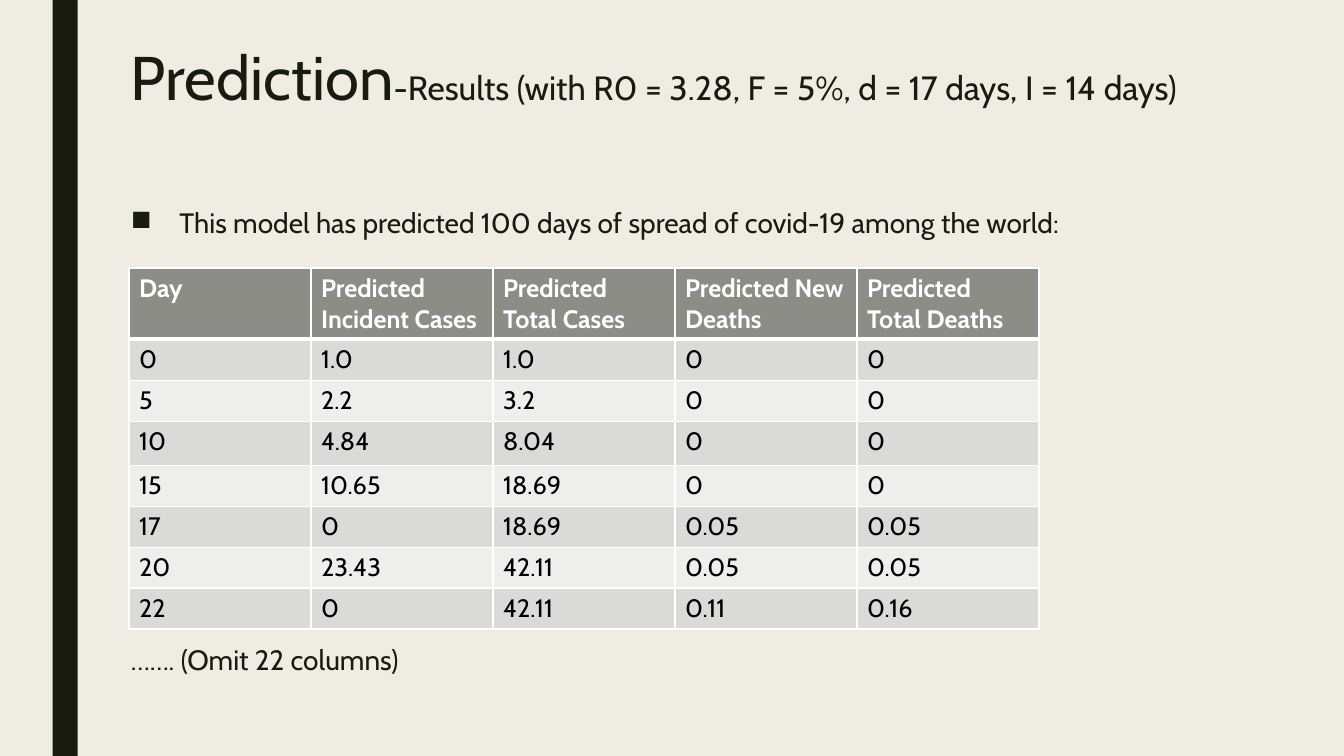
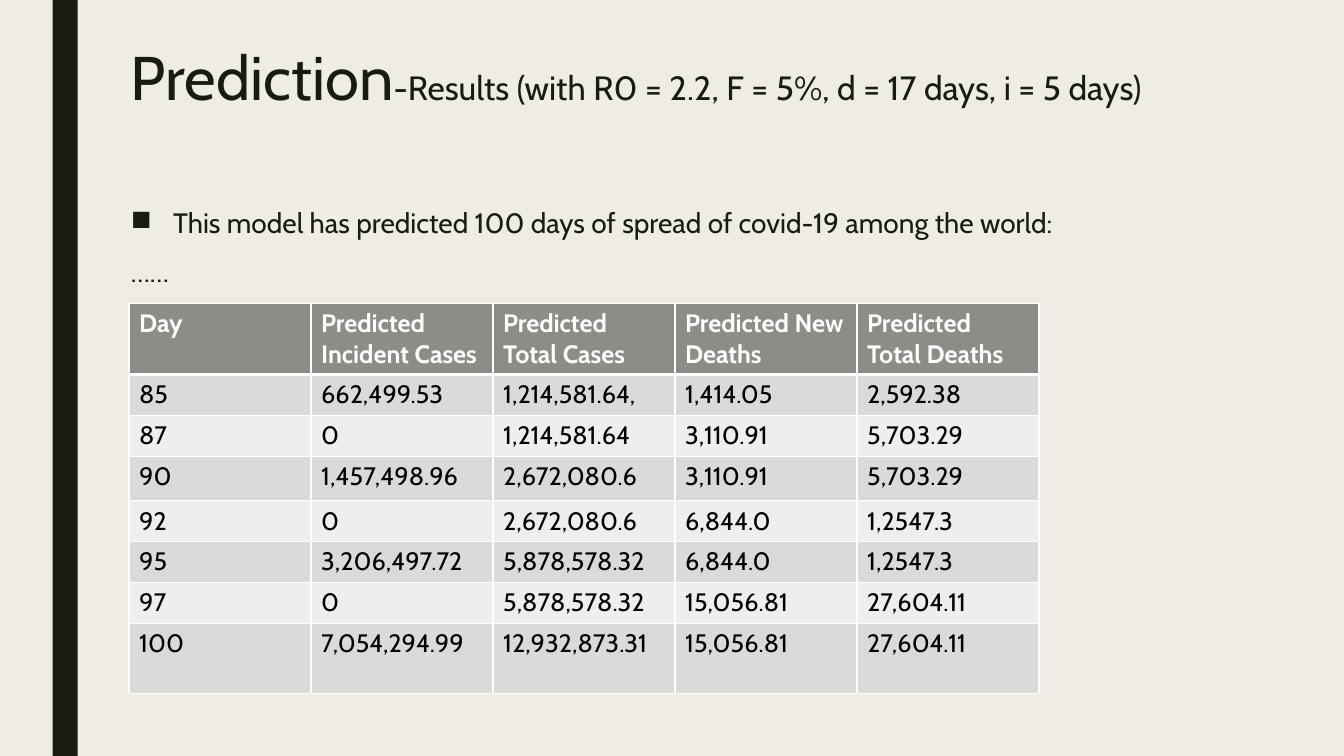
from lxml import etree
from pptx import Presentation
from pptx.dml.color import RGBColor
from pptx.enum.shapes import MSO_SHAPE
from pptx.oxml.ns import qn
from pptx.util import Pt

RECTANGLE = MSO_SHAPE.RECTANGLE

FONT = "Cabin"
COLORS = {
    "background": "EFEDE3",
    "ink": "191B0E",
    "header": "8C8D86",
    "odd_row": "DADBD9",
    "even_row": "EEEEED",
    "white": "FFFFFF",
    "black": "000000",
}

SLIDE_WIDTH, SLIDE_HEIGHT = 960, 540
BAND_LEFT, BAND_WIDTH = 37.5, 18
TEXT_LEFT, TEXT_WIDTH = 86.4, 792
TITLE_TOP, TITLE_WIDTH, TITLE_HEIGHT = 31, 860, 114
STATEMENT_TOP, LINE_HEIGHT = 145.5, 32
TABLE_LEFT, COLUMN_WIDTH = 92.2, 130
HEADER_HEIGHT, ROW_HEIGHT = 51, 29.2

TITLE = "Prediction"
STATEMENT = "This model has predicted 100 days of spread of covid-19 among the world:"
HEADINGS = ("Day", "Predicted Incident Cases", "Predicted Total Cases",
            "Predicted New Deaths", "Predicted Total Deaths")

RESULTS = [
    {
        "subtitle": "-Results (with R0 = 3.28, F = 5%, d = 17 days, I = 14 days)",
        "bullet_indent": 34.7,
        "note": "……. (Omit 22 columns)",
        "note_top": 457,
        "table_top": 191.4,
        "tall_rows": {3: 31.7},
        "rows": [
            ("0", "1.0", "1.0", "0", "0"),
            ("5", "2.2", "3.2", "0", "0"),
            ("10", "4.84", "8.04", "0", "0"),
            ("15", "10.65", "18.69", "0", "0"),
            ("17", "0", "18.69", "0.05", "0.05"),
            ("20", "23.43", "42.11", "0.05", "0.05"),
            ("22", "0", "42.11", "0.11", "0.16"),
        ],
    },
    {
        "subtitle": "-Results (with R0 = 2.2, F = 5%, d = 17 days, i = 5 days)",
        "bullet_indent": 30.2,
        "note": "……",
        "note_top": 180.5,
        "table_top": 216.5,
        "tall_rows": {3: 31.7, 7: 50},
        "rows": [
            ("85", "662,499.53", "1,214,581.64,", "1,414.05", "2,592.38"),
            ("87", "0", "1,214,581.64", "3,110.91", "5,703.29"),
            ("90", "1,457,498.96", "2,672,080.6", "3,110.91", "5,703.29"),
            ("92", "0", "2,672,080.6", "6,844.0", "1,2547.3"),
            ("95", "3,206,497.72", "5,878,578.32", "6,844.0", "1,2547.3"),
            ("97", "0", "5,878,578.32", "15,056.81", "27,604.11"),
            ("100", "7,054,294.99", "12,932,873.31", "15,056.81", "27,604.11"),
        ],
    },
]


def color(name):
    return RGBColor.from_string(COLORS[name])


def paint(fill, name):
    fill.solid()
    fill.fore_color.rgb = color(name)


def set_font(font, size, color_name, bold=False):
    font.name = FONT
    font.size = Pt(size)
    font.bold = bold
    font.color.rgb = color(color_name)


def add_paragraph_box(slide, left, top, width, height, line_spacing):
    """Add a wrapping text box and return its first paragraph."""
    box = slide.shapes.add_textbox(Pt(left), Pt(top), Pt(width), Pt(height))
    box.text_frame.word_wrap = True
    paragraph = box.text_frame.paragraphs[0]
    paragraph.line_spacing = line_spacing
    return paragraph


def add_bullet(paragraph, indent):
    properties = paragraph._p.get_or_add_pPr()
    properties.set("marL", str(Pt(indent)))
    properties.set("indent", str(-Pt(indent)))
    etree.SubElement(properties, qn("a:buChar"), char="■")


def add_title(slide, subtitle):
    paragraph = add_paragraph_box(slide, TEXT_LEFT, TITLE_TOP, TITLE_WIDTH, TITLE_HEIGHT, 0.89)
    for text, size in ((TITLE, 44), (subtitle, 24)):
        run = paragraph.add_run()
        run.text = text
        set_font(run.font, size, "ink")


def add_body_line(slide, text, top, bullet_indent=None):
    paragraph = add_paragraph_box(slide, TEXT_LEFT, top, TEXT_WIDTH, LINE_HEIGHT, 0.94)
    paragraph.text = text
    if bullet_indent:
        add_bullet(paragraph, bullet_indent)
    set_font(paragraph.font, 20, "ink")


def set_borders(cell, bottom_width):
    """Draw white borders; they must come before the fill in the cell's XML."""
    properties = cell._tc.get_or_add_tcPr()
    widths = {"a:lnL": 1, "a:lnR": 1, "a:lnT": 1, "a:lnB": bottom_width}
    for position, (tag, width) in enumerate(widths.items()):
        line = etree.Element(qn(tag), w=str(Pt(width)))
        fill = etree.SubElement(line, qn("a:solidFill"))
        etree.SubElement(fill, qn("a:srgbClr"), val=COLORS["white"])
        properties.insert(position, line)


def add_results_table(slide, top, rows, tall_rows):
    grid = [HEADINGS, *rows]
    heights = [HEADER_HEIGHT] + [tall_rows.get(number, ROW_HEIGHT)
                                 for number in range(1, len(grid))]
    table = slide.shapes.add_table(
        len(grid), len(HEADINGS), Pt(TABLE_LEFT), Pt(top),
        Pt(COLUMN_WIDTH * len(HEADINGS)), Pt(sum(heights))).table
    for column in table.columns:
        column.width = Pt(COLUMN_WIDTH)
    for number, (values, height) in enumerate(zip(grid, heights)):
        is_header = number == 0
        row_color = "header" if is_header else "odd_row" if number % 2 else "even_row"
        table.rows[number].height = Pt(height)
        for cell, value in zip(table.rows[number].cells, values):
            cell.text = value
            paint(cell.fill, row_color)
            set_borders(cell, 3 if is_header else 1)
            set_font(cell.text_frame.paragraphs[0].font, 18,
                     "white" if is_header else "black", bold=is_header)


def add_base_slide(presentation):
    slide = presentation.slides.add_slide(presentation.slide_layouts[6])
    paint(slide.background.fill, "background")
    band = slide.shapes.add_shape(RECTANGLE, Pt(BAND_LEFT), Pt(0), Pt(BAND_WIDTH), Pt(SLIDE_HEIGHT))
    band.shadow.inherit = False
    paint(band.fill, "ink")
    band.line.fill.background()
    return slide


def main():
    presentation = Presentation()
    presentation.slide_width = Pt(SLIDE_WIDTH)
    presentation.slide_height = Pt(SLIDE_HEIGHT)
    for result in RESULTS:
        slide = add_base_slide(presentation)
        add_title(slide, result["subtitle"])
        add_body_line(slide, STATEMENT, STATEMENT_TOP, result["bullet_indent"])
        add_body_line(slide, result["note"], result["note_top"])
        add_results_table(slide, result["table_top"], result["rows"], result["tall_rows"])
    presentation.save("out.pptx")


if __name__ == "__main__":
    main()
